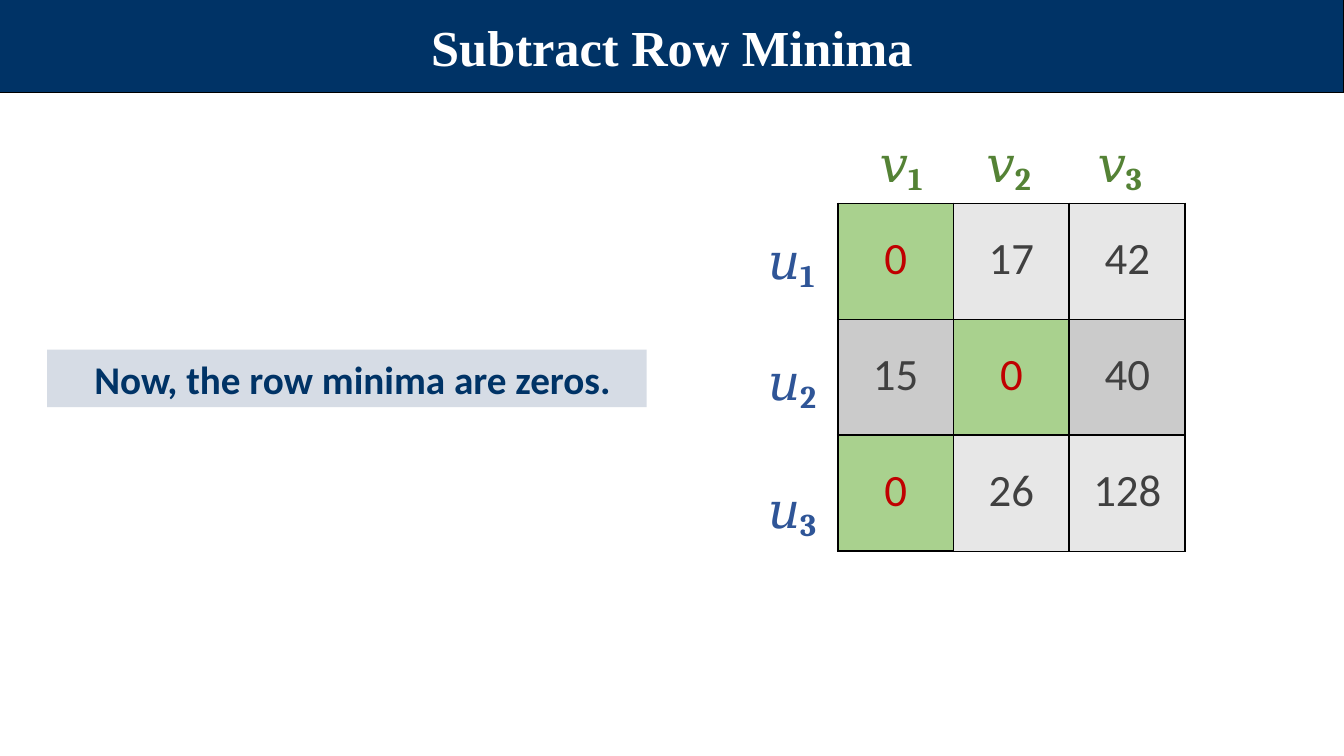
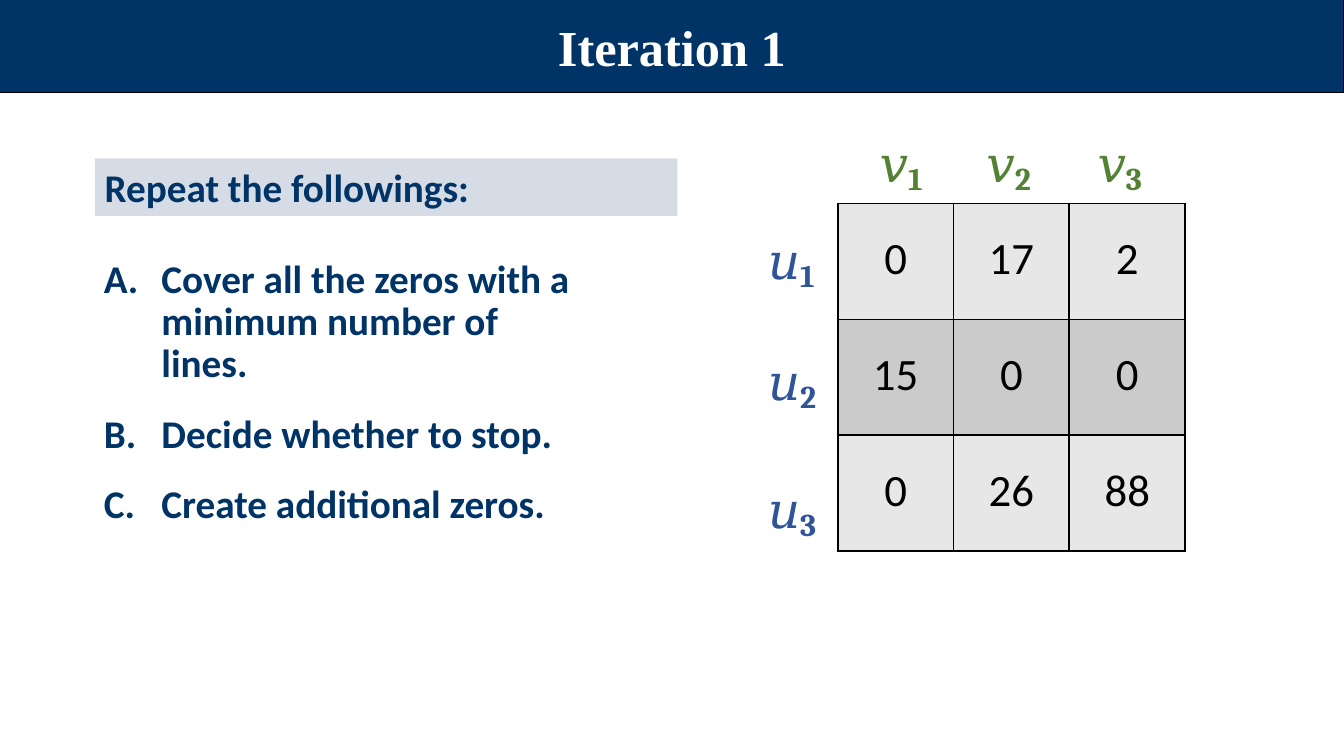
"""Build two slides on the row reduction steps of the assignment method."""
from lxml import etree
from pptx import Presentation
from pptx import util as u
from pptx.dml.color import RGBColor
from pptx.enum import shapes, text
from pptx.oxml import ns

NAVY, PALE, BLACK, WHITE = "003366", "D6DCE5", "000000", "FFFFFF"
GREEN, RED, GREY = "A9D18E", "C00000", "404040"
ROW_FILLS = ("E7E7E7", "CBCBCB", "E7E7E7")
CELL = 2.92


def colour(value):
    return RGBColor.from_string(value)


def set_font(font, name, size, value, bold=True):
    font.name, font.size, font.bold = name, u.Pt(size), bold
    font.color.rgb = colour(value)


SLIDES = [
    {
        "title": "Subtract Row Minima",
        "caption": ("Now, the row minima are zeros.", 1.19, 8.81, 15.11, 1.19),
        "steps": [],
        "costs": [[0, 17, 42], [15, 0, 40], [0, 26, 128]],
        "number_colour": GREY,
        "minima": {(0, 0), (1, 1), (2, 0)},
        "thin_below": {(0, 2), (2, 1), (2, 2)},
    },
    {
        "title": "Iteration 1",
        "caption": ("Repeat the followings:", 2.39, 3.99, 14.68, 0.25),
        "steps": [
            "Cover all the zeros with a minimum number of lines.",
            "Decide whether to stop.",
            "Create additional zeros.",
        ],
        "costs": [[0, 17, 2], [15, 0, 0], [0, 26, 88]],
        "number_colour": BLACK,
        "minima": set(),
        "thin_below": set(),
    },
]

presentation = Presentation()
presentation.slide_width, presentation.slide_height = u.Cm(33.87), u.Cm(19.05)

for content in SLIDES:
    slide = presentation.slides.add_slide(presentation.slide_layouts[6])

    caption, left, top, width, indent = content["caption"]
    bars = [
        (content["title"], 0, 0, 33.87, 2.34, 0, NAVY, "Times New Roman", 36, WHITE),
        (caption, left, top, width, 1.45, indent, PALE, "Calibri", 28, NAVY),
    ]
    for words, left, top, width, height, indent, fill, name, size, ink in bars:
        bar = slide.shapes.add_shape(
            shapes.MSO_SHAPE.RECTANGLE, u.Cm(left), u.Cm(top), u.Cm(width), u.Cm(height))
        bar.shadow.inherit = False
        bar.fill.solid()
        bar.fill.fore_color.rgb = colour(fill)
        if fill == NAVY:
            bar.line.color.rgb = colour(BLACK)
            bar.line.width = u.Pt(0.75)
        else:
            bar.line.fill.background()
        frame = bar.text_frame
        frame.margin_left = u.Cm(indent)
        frame.margin_top = frame.margin_right = frame.margin_bottom = 0
        frame.vertical_anchor = text.MSO_ANCHOR.MIDDLE
        paragraph = frame.paragraphs[0]
        paragraph.text = words
        paragraph.alignment = text.PP_ALIGN.CENTER if fill == NAVY else text.PP_ALIGN.LEFT
        set_font(paragraph.font, name, size, ink)

    if content["steps"]:
        box = slide.shapes.add_textbox(u.Cm(2.62), u.Cm(6.35), u.Cm(12.14), u.Cm(5.87))
        frame = box.text_frame
        frame.word_wrap = True
        frame.margin_left = frame.margin_right = frame.margin_bottom = 0
        frame.margin_top = u.Cm(0.18)
        for index, step in enumerate(content["steps"]):
            paragraph = frame.add_paragraph() if index else frame.paragraphs[0]
            paragraph.text = step
            if index:
                paragraph.space_before = u.Pt(17)
            else:
                paragraph.line_spacing = u.Pt(30)
            properties = paragraph._p.get_or_add_pPr()
            properties.set("marL", str(u.Cm(1.45)))
            properties.set("indent", str(-u.Cm(1.45)))
            etree.SubElement(properties, ns.qn("a:buFont"), typeface="+mj-lt")
            etree.SubElement(properties, ns.qn("a:buAutoNum"), type="alphaUcPeriod")
            set_font(paragraph.font, "Calibri", 28, NAVY)

    table = slide.shapes.add_table(
        3, 3, u.Cm(21.11), u.Cm(5.13), u.Cm(3 * CELL), u.Cm(3 * CELL)).table
    table.first_row = table.horz_banding = False
    for row, costs in enumerate(content["costs"]):
        table.rows[row].height = table.columns[row].width = u.Cm(CELL)
        for column, cost in enumerate(costs):
            is_minimum = (row, column) in content["minima"]
            cell = table.cell(row, column)
            cell.margin_left = cell.margin_right = cell.margin_bottom = 0
            cell.margin_top = u.Cm(0.71)
            cell.fill.solid()
            cell.fill.fore_color.rgb = colour(GREEN if is_minimum else ROW_FILLS[row])
            paragraph = cell.text_frame.paragraphs[0]
            paragraph.text = str(cost)
            paragraph.alignment = text.PP_ALIGN.CENTER
            ink = RED if is_minimum else content["number_colour"]
            set_font(paragraph.font, "Calibri", 32, ink, bold=False)
            neighbours = {"T": (row - 1, column), "B": (row, column)}
            for position, side in enumerate("LRTB"):
                is_thin = neighbours.get(side) in content["thin_below"]
                border = etree.Element(
                    ns.qn(f"a:ln{side}"), w=str(u.Pt(0.5 if is_thin else 1.5)))
                solid = etree.SubElement(border, ns.qn("a:solidFill"))
                etree.SubElement(solid, ns.qn("a:srgbClr"), val=BLACK)
                cell._tc.get_or_add_tcPr().insert(position, border)

    labels = [
        ("𝑣", "548235", 22.17, 3.2, 6.89, 1.6, None),
        ("𝑢", "2F5597", 19.35, 5.64, 1.37, 7.44, (0, 37, 42)),
    ]
    for letter, ink, left, top, width, height, gaps in labels:
        box = slide.shapes.add_textbox(u.Cm(left), u.Cm(top), u.Cm(width), u.Cm(height))
        frame = box.text_frame
        frame.word_wrap = True
        frame.margin_left = frame.margin_right = frame.margin_bottom = 0
        frame.margin_top = u.Cm(0.03)
        paragraph = frame.paragraphs[0]
        if not gaps:
            tabs = etree.SubElement(paragraph._p.get_or_add_pPr(), ns.qn("a:tabLst"))
            for stop in (2.69, 5.49):
                etree.SubElement(tabs, ns.qn("a:tab"), pos=str(u.Cm(stop)), algn="l")
        for index in range(3):
            if gaps and index:
                paragraph = frame.add_paragraph()
                paragraph.space_before = u.Pt(gaps[index])
            ending = "" if gaps or index == 2 else "\t"
            for words, size, baseline in ((letter, 36, 0), (f"{index + 1}{ending}", 39, -15000)):
                run = paragraph.add_run()
                run.text = words
                set_font(run.font, "Cambria", size, ink)
                run._r.get_or_add_rPr().set("baseline", str(baseline))

presentation.save("out.pptx")
